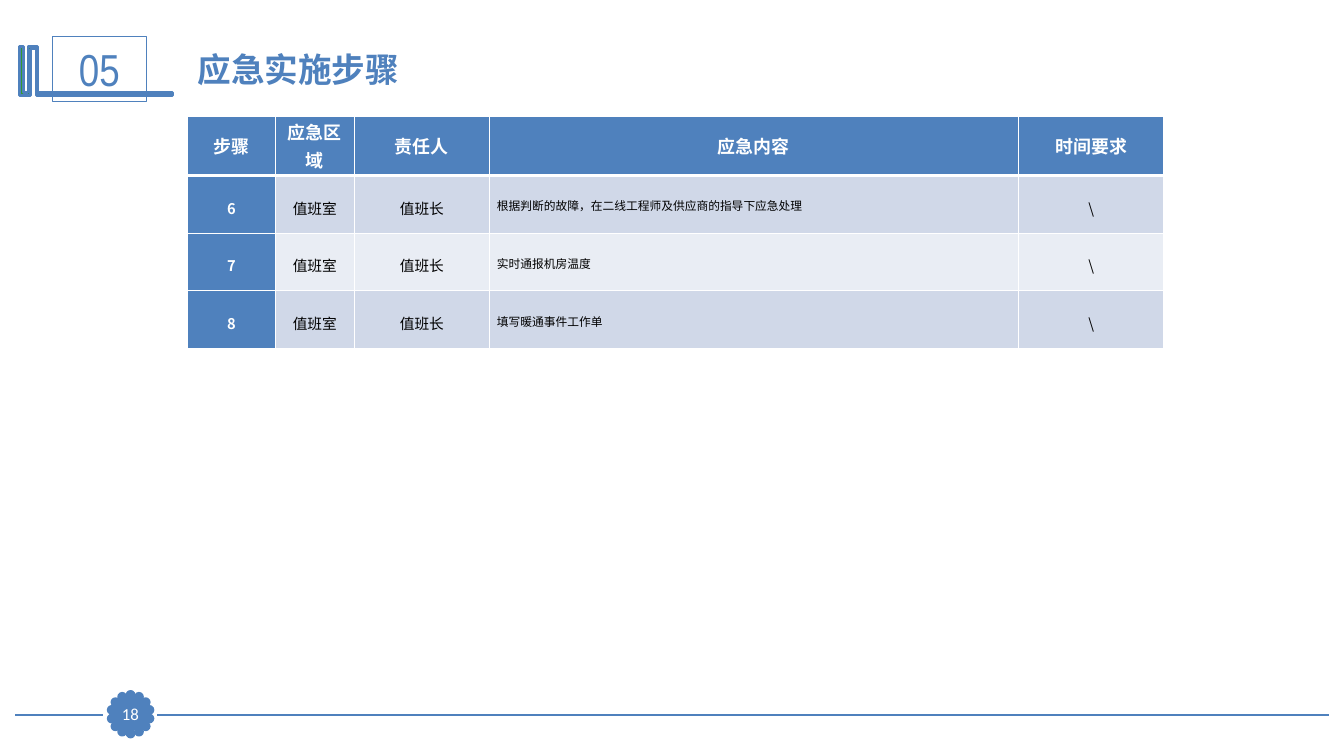
import math

from lxml import etree
from pptx import Presentation
from pptx import util as u
from pptx.dml import color
from pptx.enum import shapes, text
from pptx.oxml import ns

Pt = u.Pt
BLUE, WHITE, BLACK = "4F81BD", "FFFFFF", "000000"
CJK = "Noto Sans CJK SC"


def paint(fill, hex_color):
    """Make a shape, line, font or cell fill solid."""
    fill.solid()
    fill.fore_color.rgb = color.RGBColor.from_string(hex_color)


def write(paragraph, words, size, font_name, hex_color, bold=False, small_caps=False):
    run = paragraph.add_run()
    run.text = words
    run.font.size = Pt(size)
    run.font.bold = bold
    run.font.name = font_name
    paint(run.font.fill, hex_color)
    properties = run._r.get_or_add_rPr()
    etree.SubElement(properties, ns.qn("a:ea")).set("typeface", CJK)
    if small_caps:
        properties.set("cap", "small")


presentation = Presentation()
presentation.slide_width, presentation.slide_height = Pt(960), Pt(540)
slide = presentation.slides.add_slide(presentation.slide_layouts[6])

# Footer rule, broken by the page badge
for start, end in [(949, 112.3), (73.4, 10.8)]:
    rule = slide.shapes.add_connector(
        shapes.MSO_CONNECTOR.STRAIGHT, Pt(start), Pt(510.5), Pt(end), Pt(510.5))
    rule.line.width = Pt(1.25)
    paint(rule.line.fill, BLUE)
    etree.SubElement(rule._element.spPr, ns.qn("a:effectLst"))

# Ring of petals around the page number
PETALS, RING_RADIUS, PETAL_SIZE = 14, 13.8, 5
for index in range(PETALS):
    angle = 2 * math.pi * index / PETALS
    petal = slide.shapes.add_shape(
        shapes.MSO_SHAPE.OVAL,
        Pt(93.3 + RING_RADIUS * math.sin(angle) - PETAL_SIZE / 2),
        Pt(510.2 - RING_RADIUS * math.cos(angle) - PETAL_SIZE / 2),
        Pt(PETAL_SIZE), Pt(PETAL_SIZE))
    petal.shadow.inherit = False
    paint(petal.fill, BLUE)
    paint(petal.line.fill, BLUE)
    petal.line.width = Pt(2)

# Bracket beside the section number
outline = [
    (27.4, 33.1), (27.4, 66.2), (123.1, 66.2), (123.1, 67.7), (25.9, 67.7),
    (25.9, 34.6), (22.3, 34.6), (22.3, 67.7), (13.7, 67.7), (13.7, 33.1),
    (16.6, 33.1), (16.6, 65.5), (20.2, 65.5), (20.2, 33.1)]
builder = slide.shapes.build_freeform(*outline[0], scale=Pt(1))
builder.add_line_segments(outline[1:], close=True)
bracket = builder.convert_to_shape()
bracket.shadow.inherit = False
paint(bracket.fill, "339933")
paint(bracket.line.fill, BLUE)
bracket.line.width = Pt(2)

# Section number and page number
for words, box, size, font_name, font_color, filled in [
    ("05", (37.5, 26, 67, 46.6), 32, "Arial Narrow", BLUE, False),
    ("18", (81.7, 499, 23, 22.3), 12, "Calibri", WHITE, True),
]:
    number = slide.shapes.add_shape(shapes.MSO_SHAPE.RECTANGLE, *map(Pt, box))
    number.shadow.inherit = False
    paint(number.line.fill, BLUE)
    number.line.width = Pt(0.75)
    frame = number.text_frame
    frame.vertical_anchor = text.MSO_ANCHOR.MIDDLE
    if filled:
        paint(number.fill, BLUE)
        frame.margin_left = frame.margin_right = 0
        frame.margin_top = frame.margin_bottom = 0
    else:
        number.fill.background()
    paragraph = frame.paragraphs[0]
    paragraph.alignment = text.PP_ALIGN.CENTER
    write(paragraph, words, size, font_name, font_color)

title = slide.shapes.add_textbox(Pt(134), Pt(31.7), Pt(697.5), Pt(36.7))
title.text_frame.word_wrap = True
title.text_frame.auto_size = text.MSO_AUTO_SIZE.SHAPE_TO_FIT_TEXT
write(title.text_frame.paragraphs[0], "应急实施步骤", 24, CJK, BLUE, bold=True)

# Emergency steps
rows = [
    ("步骤", "应急区域", "责任人", "应急内容", "时间要求"),
    ("6", "值班室", "值班长", "根据判断的故障，在二线工程师及供应商的指导下应急处理", "\\"),
    ("7", "值班室", "值班长", "实时通报机房温度", "\\"),
    ("8", "值班室", "值班长", "填写暖通事件工作单", "\\"),
]
widths = [62.6, 56.6, 96.4, 377.9, 104]
heights = [42.4, 41.2, 41.2, 41.2]
CONTENT_COLUMN = 3
table = slide.shapes.add_table(
    len(rows), len(widths), Pt(134), Pt(83), Pt(sum(widths)), Pt(sum(heights))).table
for column, width in zip(table.columns, widths):
    column.width = Pt(width)

for row_index, row in enumerate(rows):
    table.rows[row_index].height = Pt(heights[row_index])
    for column_index, words in enumerate(row):
        cell = table.cell(row_index, column_index)
        is_header = row_index == 0
        is_label = is_header or column_index == 0
        is_content = column_index == CONTENT_COLUMN and not is_header

        cell.vertical_anchor = text.MSO_ANCHOR.MIDDLE
        cell.margin_left = cell.margin_right = Pt(5.4)
        cell.margin_top = cell.margin_bottom = 0
        border_widths = {"L": 1, "R": 1, "T": 3 if row_index == 1 else 1,
                         "B": 3 if is_header else 1}
        properties = cell._tc.get_or_add_tcPr()
        for side, width in border_widths.items():
            border = etree.SubElement(properties, ns.qn(f"a:ln{side}"), w=str(Pt(width)))
            solid = etree.SubElement(border, ns.qn("a:solidFill"))
            etree.SubElement(solid, ns.qn("a:srgbClr"), val=WHITE)
        band = "D0D8E8" if row_index % 2 else "E9EDF4"
        paint(cell.fill, BLUE if is_label else band)

        paragraph = cell.text_frame.paragraphs[0]
        if not is_content:
            paragraph.alignment = text.PP_ALIGN.CENTER
            paragraph.line_spacing = Pt(20)
        write(paragraph, words, 16 if is_header else 10.5,
              "Calibri" if is_content else CJK, WHITE if is_label else BLACK,
              bold=is_label, small_caps=is_header or is_content)

presentation.save("out.pptx")
